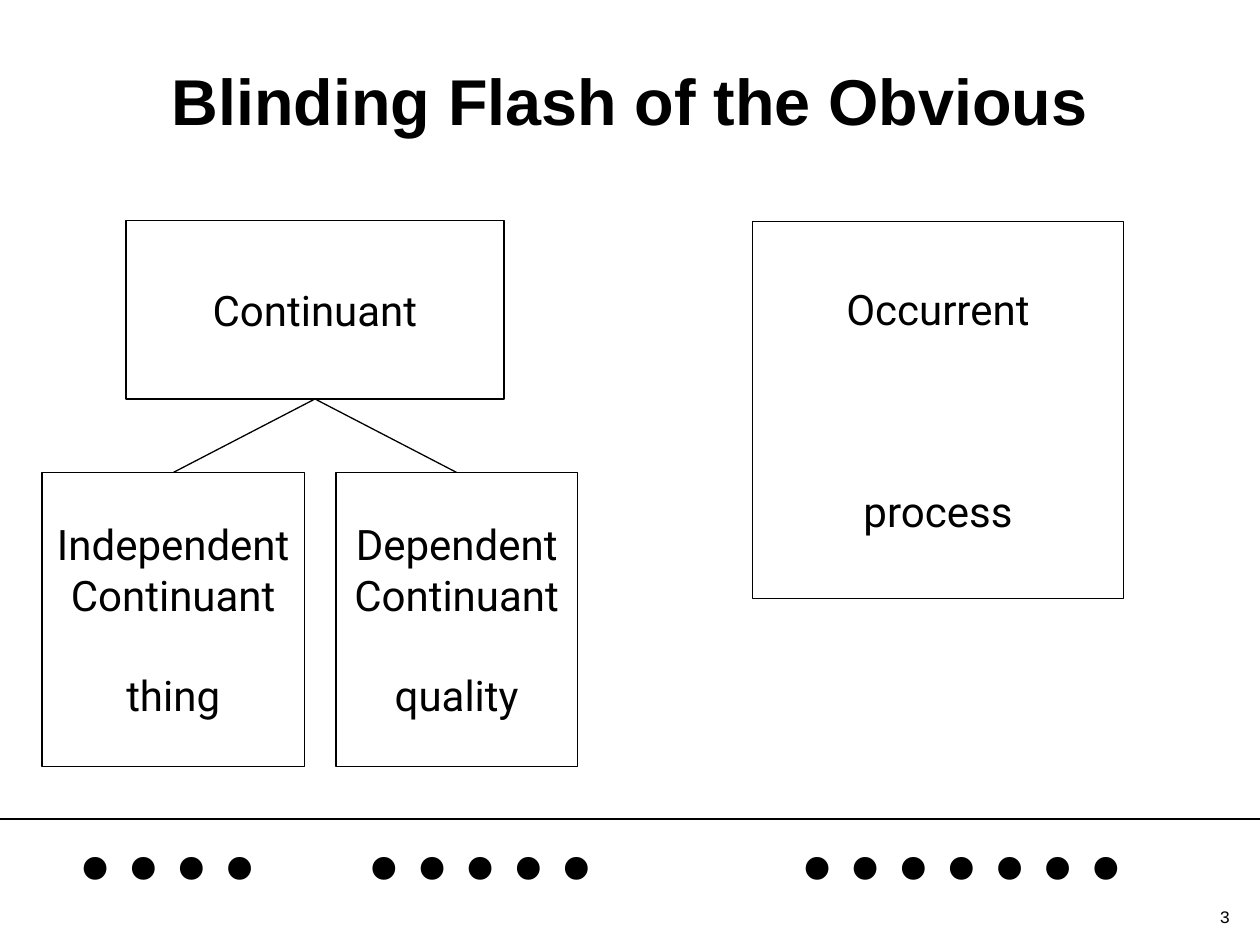
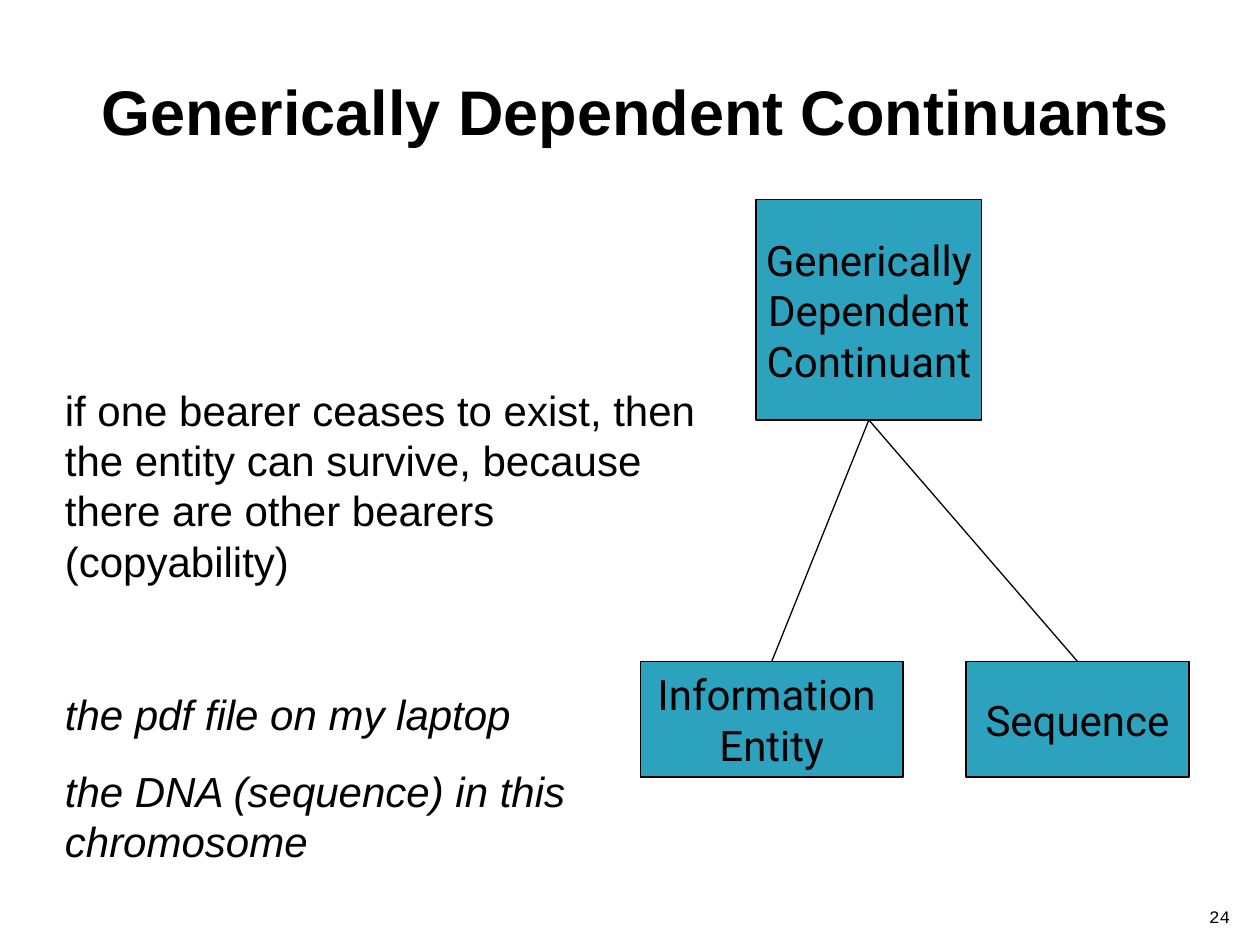
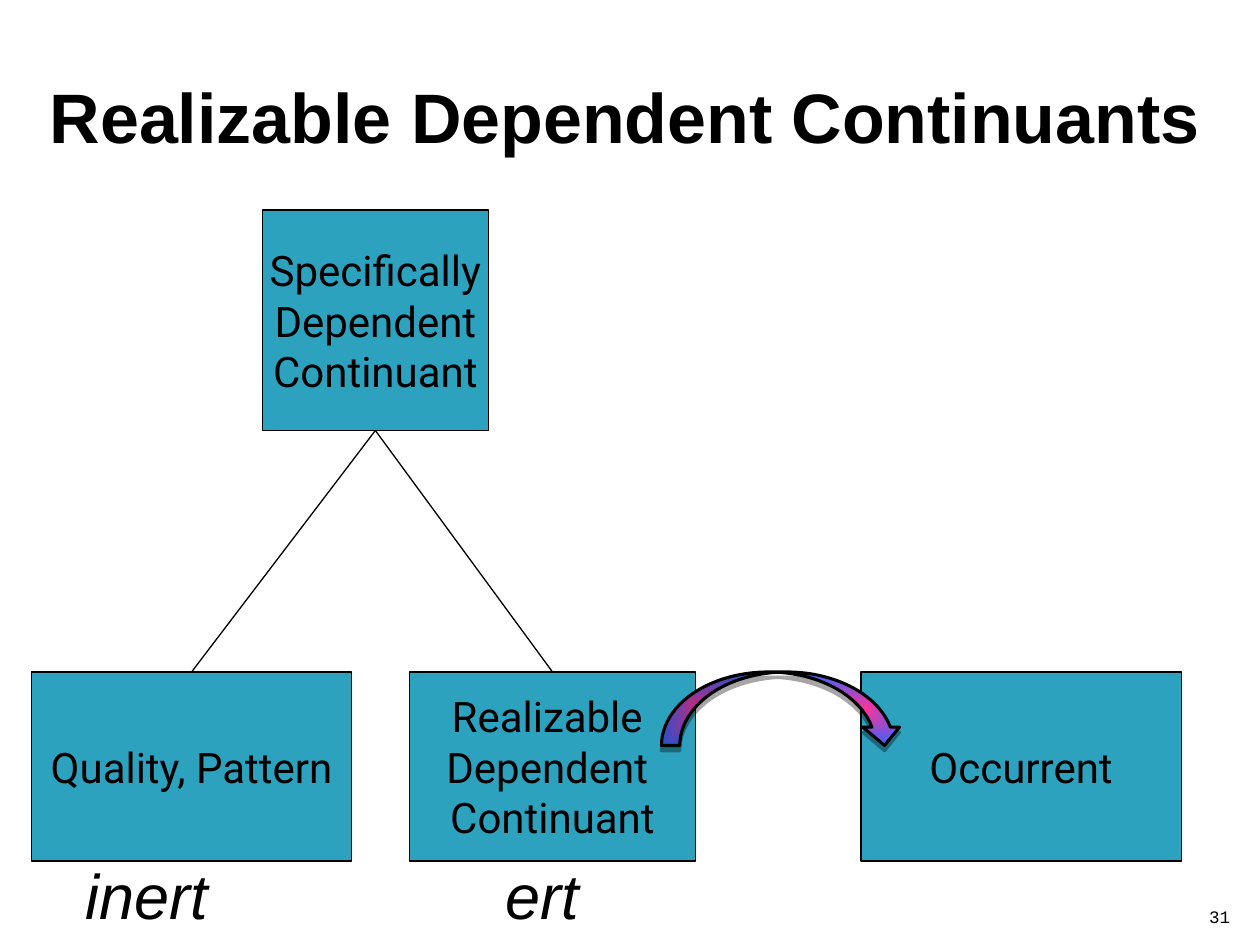
"""Build three slides on continuants and occurrents."""
from lxml import etree
from pptx import Presentation
from pptx.dml.color import RGBColor
from pptx.enum.shapes import MSO_CONNECTOR as CONN, MSO_SHAPE as SHAPE
from pptx.enum.text import MSO_ANCHOR as ANCHOR, PP_ALIGN as ALIGN
from pptx.oxml import parse_xml
from pptx.oxml.ns import nsdecls, qn
from pptx.util import Pt

BLACK = RGBColor(0x00, 0x00, 0x00)
TEAL = RGBColor(0x2D, 0xA2, 0xBF)
PINK = RGBColor(0xFF, 0x33, 0x99)
BLUE = RGBColor(0x33, 0x66, 0xFF)
LEADING = 1.2
BLANK_LINE = 24 * LEADING


def write(shp, paras, size, name, align=ALIGN.LEFT, anchor=ANCHOR.TOP,
          wrap=True, margin=7.2, leading=None, tabs=(), bold=False):
    """Fill a shape with (text, space before, italic) paragraphs."""
    tf = shp.text_frame
    frame = dict(word_wrap=wrap, vertical_anchor=anchor, margin_left=Pt(margin),
                 margin_right=Pt(7.2), margin_top=Pt(3.6), margin_bottom=Pt(3.6))
    for key, value in frame.items():
        setattr(tf, key, value)
    for i, (text, before, italic) in enumerate(paras):
        p = tf.add_paragraph() if i else tf.paragraphs[0]
        p.alignment = align
        p.line_spacing = Pt(leading or size * LEADING)
        p.space_before = Pt(before)
        if tabs:
            tab_list = etree.SubElement(p._p.get_or_add_pPr(), qn("a:tabLst"))
            for pos in tabs:
                etree.SubElement(tab_list, qn("a:tab"), pos=str(Pt(pos)), algn="l")
        r = p.add_run()
        r.text = text
        for key, value in dict(size=Pt(size), name=name, bold=bold, italic=italic).items():
            setattr(r.font, key, value)
        r.font.color.rgb = BLACK


def add_line(s, start, end):
    """Draw a thin black line between two points."""
    line = s.shapes.add_connector(CONN.STRAIGHT, *map(Pt, start + end))
    line.line.color.rgb = BLACK
    line.line.width = Pt(0.75)
    etree.SubElement(line._element.spPr, qn("a:effectLst"))
    return line


SLIDES = [
    dict(title="Blinding Flash of the Obvious", title_at=(0, 30, 720, 54), title_size=37,
         fill=None, number="3",
         boxes=[((72, 126, 216, 102), [("Continuant", 0)]),
                ((24, 270, 150, 168), [("Independent", 0), ("Continuant", 0), ("thing", BLANK_LINE)]),
                ((192, 270, 138, 168), [("Dependent", 0), ("Continuant", 0), ("quality", BLANK_LINE)]),
                ((430, 126.5, 212, 215.5), [("Occurrent", 0), ("process", 3 * BLANK_LINE)])]),
    dict(title="Generically Dependent Continuants", title_at=(30, 18, 666, 90), title_size=36,
         fill=TEAL, number="24",
         boxes=[((432, 114, 129, 126), [("Generically", 0), ("Dependent", 0), ("Continuant", 0)]),
                ((366, 378, 150, 66), [("Information ", 0), ("Entity", 0)]),
                ((552, 378, 127.5, 66), [("Sequence", 0)])]),
    dict(title="Realizable Dependent Continuants", title_at=(18, 18, 678, 96), title_size=40,
         fill=TEAL, number="31",
         boxes=[((150, 120, 129, 126), [("Specifically", 0), ("Dependent", 0), ("Continuant", 0)]),
                ((18, 384, 183, 108), [("Quality, Pattern", 0)]),
                ((234, 384, 163.5, 108), [("Realizable ", 0), ("Dependent ", 0), ("Continuant", 0)]),
                ((492, 384, 183, 108), [("Occurrent", 0)])]),
]

prs = Presentation()
prs.slide_width, prs.slide_height = Pt(720), Pt(540)
built = []

for data in SLIDES:
    s = prs.slides.add_slide(prs.slide_layouts[6])
    built.append(s)
    title = s.shapes.add_textbox(*map(Pt, data["title_at"]))
    write(title, [(data["title"], 0, False)], data["title_size"], "Arial",
          ALIGN.CENTER, ANCHOR.MIDDLE, bold=True)
    boxes = []
    for at, paras in data["boxes"]:
        box = s.shapes.add_shape(SHAPE.RECTANGLE, *map(Pt, at))
        box.shadow.inherit = False
        if data["fill"]:
            box.fill.solid()
            box.fill.fore_color.rgb = data["fill"]
        else:
            box.fill.background()
        box.line.color.rgb = BLACK
        box.line.width = Pt(0.75)
        write(box, [(text, before, False) for text, before in paras], 24, "Roboto",
              ALIGN.CENTER, ANCHOR.MIDDLE, wrap=False)
        boxes.append(box)
    parent, *children = boxes[:3]
    for child in children:
        link = add_line(s, (0, 0), (0, 0))
        link.begin_connect(parent, 2)
        link.end_connect(child, 0)
    number = s.shapes.add_textbox(Pt(681), Pt(505), Pt(29), Pt(28.5))
    write(number, [(data["number"], 0, False)], 10, "Courier New",
          ALIGN.RIGHT, ANCHOR.BOTTOM)

flash, generic, realizable = built

add_line(flash, (0, 468), (720, 468))
dots = flash.shapes.add_textbox(Pt(6), Pt(438), Pt(714), Pt(80))
write(dots, [("....\t.....\t.......", 0, False)], 110, "Times New Roman",
      margin=34.7, leading=82, tabs=(165, 412.5))

body = generic.shapes.add_textbox(Pt(30), Pt(216), Pt(378), Pt(283))
write(body, [("if one bearer ceases to exist, then the entity can survive, because "
              "there are other bearers (copyability)", 0, False),
             ("the pdf file on my laptop", 30 + BLANK_LINE, True),
             ("the DNA (sequence) in this chromosome", 15, True)], 24, "Arial")

labels = realizable.shapes.add_textbox(Pt(42), Pt(486), Pt(378), Pt(54))
write(labels, [("inert\tert", 0, True)], 36, "Arial", tabs=(240,))

arrow = realizable.shapes.add_shape(SHAPE.CURVED_DOWN_ARROW, Pt(378), Pt(384), Pt(138), Pt(42))
arrow.line.color.rgb = BLACK
arrow.line.width = Pt(1.75)
arrow.fill.gradient()
for stop, color in zip(arrow.fill.gradient_stops, (PINK, BLUE)):
    stop.color.rgb = color
grad = arrow._element.spPr.find(qn("a:gradFill"))
grad.replace(grad.find(qn("a:lin")), parse_xml(
    f'<a:path {nsdecls("a")} path="rect">'
    '<a:fillToRect l="50000" t="50000" r="50000" b="50000"/></a:path>'))
arrow.shadow.inherit = False
arrow._element.spPr.find(qn("a:effectLst")).append(parse_xml(
    f'<a:outerShdw {nsdecls("a")} blurRad="0" dist="{Pt(3)}" dir="5400000" rotWithShape="0">'
    '<a:srgbClr val="000000"><a:alpha val="35000"/></a:srgbClr></a:outerShdw>'))

prs.save("out.pptx")
